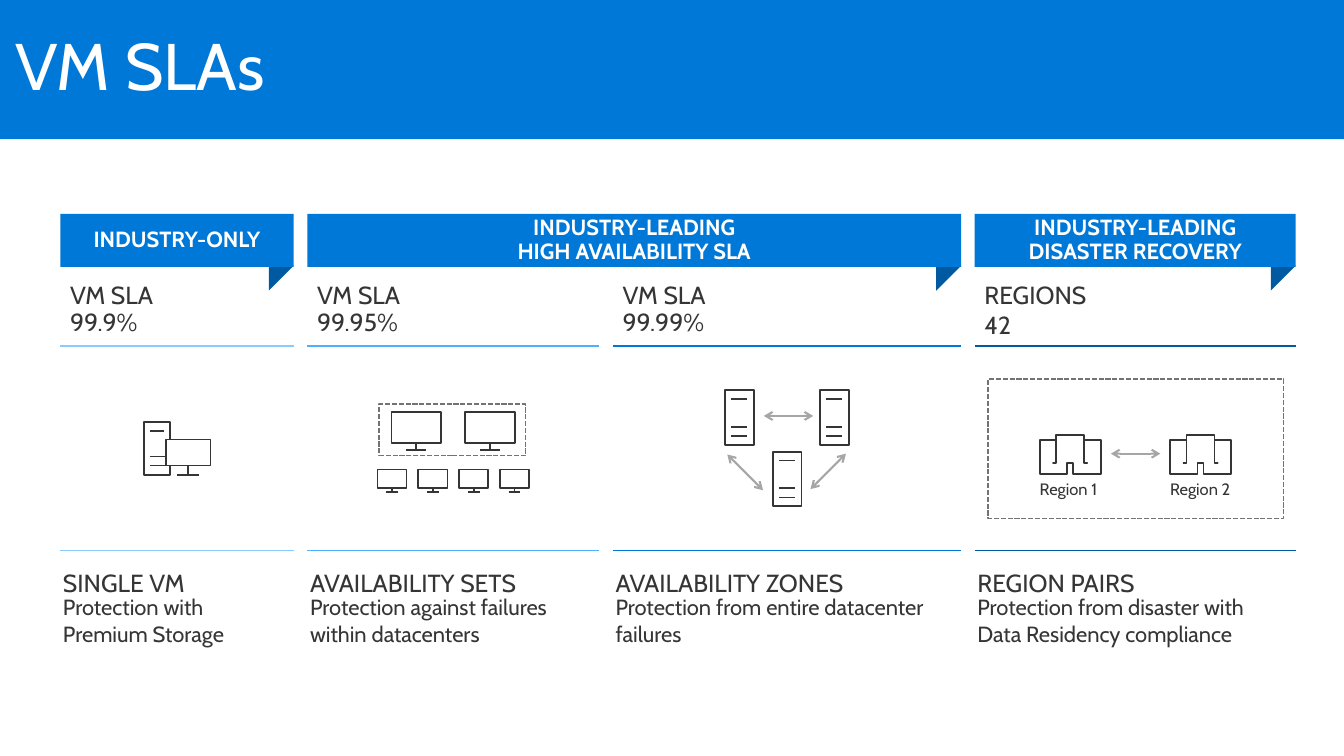
from lxml import etree
from pptx import Presentation
from pptx.dml.color import RGBColor
from pptx.enum.dml import MSO_LINE
from pptx.enum.shapes import MSO_CONNECTOR, MSO_SHAPE
from pptx.enum.text import MSO_ANCHOR, PP_ALIGN
from pptx.oxml.ns import qn
from pptx.util import Cm, Pt

FONT = "Cabin"
BLUE, NAVY, INK, WHITE, DASH, ARROW = "0078D7", "005AA1", "353535", "FFFFFF", "737373", "A6A6A6"
WIDTH, HEIGHT, LEFT, GAP = 34.54, 19.43, 1.55, 0.35
RULE_TOPS = (8.89, 14.15)
BANNER_TOP, BANNER_HEIGHT, FOLD = 5.5, 1.36, 0.64

COLUMNS = [
    dict(width=6, color="89CBFF", label="VM SLA", value="99.9%", value_top=7.75,
         title="SINGLE VM", note="Protection with Premium Storage"),
    dict(width=7.5, color="4EB1FF", label="VM SLA", value="99.95%", value_top=7.75,
         title="AVAILABILITY SETS", note="Protection against failures within datacenters"),
    dict(width=8.95, color=BLUE, label="VM SLA", value="99.99%", value_top=7.75,
         title="AVAILABILITY ZONES", note="Protection from entire datacenter failures"),
    dict(width=8.25, color=NAVY, label="REGIONS", value="42", value_top=7.83,
         title="REGION PAIRS", note="Protection from disaster with\vData Residency compliance"),
]
BANNERS = [
    (0, 0, "INDUSTRY-ONLY"),
    (1, 2, "INDUSTRY-LEADING\vHIGH AVAILABILITY SLA"),
    (3, 3, "INDUSTRY-LEADING\vDISASTER RECOVERY"),
]

MONITOR = [
    [(0, 0), (1, 0), (1, 0.82), (0, 0.82), (0, 0)],
    [(0.5, 0.82), (0.5, 1)],
    [(0.3, 1), (0.7, 1)],
]
SERVER = [[(0, 0), (1, 0), (1, 1), (0, 1), (0, 0)]] + [
    [(0.21, y), (0.77, y)] for y in (0.16, 0.67, 0.84)
]
COMPUTER = [
    [(0.33, 0.33), (1, 0.33), (1, 0.82), (0.33, 0.82), (0.33, 0.33)],
    [(0.66, 0.82), (0.66, 1)],
    [(0.49, 1), (0.82, 1)],
    [(0.09, 0.17), (0.3, 0.17)],
    [(0.09, 0.65), (0.33, 0.65)],
    [(0.09, 0.82), (0.33, 0.82)],
    [(0.39, 0.33), (0.39, 0), (0, 0), (0, 1), (0.39, 1), (0.39, 0.82)],
]
HALF_BUILDING = [(0.45, 0.72), (0.45, 1), (0, 1), (0, 0.13), (0.27, 0.13),
                 (0.27, 0.72), (0.22, 0.72), (0.27, 0.72), (0.27, 0)]
BUILDING = [HALF_BUILDING + [(1 - x, y) for x, y in reversed(HALF_BUILDING)] + HALF_BUILDING[:1]]

ICONS = [(COMPUTER, 3.71, 10.85, 1.7, 1.36)]
ICONS += [(MONITOR, 10.06 + 1.9 * i, 10.59, 1.27, 0.97) for i in range(2)]
ICONS += [(MONITOR, 9.7 + 1.05 * i, 12.07, 0.75, 0.58) for i in range(4)]
ICONS += [(SERVER, x, y, 0.74, 1.4) for x, y in ((18.64, 10.03), (21.08, 10.03), (19.86, 11.61))]
ICONS += [(BUILDING, x, 11.18, 1.57, 1) for x in (26.72, 30.07)]
FRAMES = [(9.75, 10.39, 3.76, 1.32), (25.4, 9.75, 7.59, 3.58)]
ARROWS = [
    (19.63, 10.69, 20.9, 10.69),
    (18.69, 11.68, 19.61, 12.6),
    (21.74, 11.66, 20.83, 12.57),
    (28.55, 11.66, 29.82, 11.66),
]
REGIONS = [("Region 1", 26.47), ("Region 2", 29.82)]


def rgb(color):
    return RGBColor.from_string(color)


def style(sp, fill=None, line=None, dash=None):
    sp.shadow.inherit = False
    if fill:
        sp.fill.solid()
        sp.fill.fore_color.rgb = rgb(fill)
    else:
        sp.fill.background()
    if line:
        sp.line.color.rgb = rgb(line)
        sp.line.width = Pt(1.25)
        sp.line.dash_style = dash
    else:
        sp.line.fill.background()


def add_box(s, kind, x, y, w, h, **look):
    sp = s.shapes.add_shape(kind, Cm(x), Cm(y), Cm(w), Cm(h))
    style(sp, **look)
    return sp


def write(sp, text, size, color=INK, bold=False, align=PP_ALIGN.LEFT,
          anchor=MSO_ANCHOR.TOP, spacing=1.0):
    tf = sp.text_frame
    tf.word_wrap = True
    tf.vertical_anchor = anchor
    p = tf.paragraphs[0]
    p.text = text
    p.alignment = align
    p.line_spacing = spacing
    for r in p.runs:
        r.font.name = FONT
        r.font.size = Pt(size)
        r.font.bold = bold
        r.font.color.rgb = rgb(color)
    return tf


def add_text(s, text, x, y, w, h, size):
    write(s.shapes.add_textbox(Cm(x), Cm(y), Cm(w), Cm(h)), text, size)


def add_line(s, x1, y1, x2, y2, color, width, arrows=False):
    line = s.shapes.add_connector(MSO_CONNECTOR.STRAIGHT, Cm(x1), Cm(y1), Cm(x2), Cm(y2))
    line.line.color.rgb = rgb(color)
    line.line.width = Pt(width)
    if arrows:
        ln = line.line._get_or_add_ln()
        for end in ("a:headEnd", "a:tailEnd"):
            etree.SubElement(ln, qn(end), type="arrow")
    etree.SubElement(line._element.spPr, qn("a:effectLst"))


def add_icon(s, paths, x, y, w, h):
    strokes = [[(Cm(x + u * w), Cm(y + v * h)) for u, v in path] for path in paths]
    outline = s.shapes.build_freeform(*strokes[0][0])
    for i, stroke in enumerate(strokes):
        if i:
            outline.move_to(*stroke[0])
        outline.add_line_segments(stroke[1:], close=False)
    style(outline.convert_to_shape(), line=INK)


def main():
    """Build the slide on virtual machine service levels."""
    prs = Presentation()
    prs.slide_width, prs.slide_height = Cm(WIDTH), Cm(HEIGHT)
    s = prs.slides.add_slide(prs.slide_layouts[6])

    header = add_box(s, MSO_SHAPE.RECTANGLE, 0, 0, WIDTH, 3.58, fill=BLUE)
    tf = write(header, "VM SLAs", 48, WHITE, anchor=MSO_ANCHOR.MIDDLE, spacing=0.9)
    tf.margin_left = tf.margin_right = Cm(0.41)

    lefts = [LEFT + sum(c["width"] + GAP for c in COLUMNS[:i]) for i in range(len(COLUMNS))]
    rights = [x + c["width"] for x, c in zip(lefts, COLUMNS)]
    for x, right, c in zip(lefts, rights, COLUMNS):
        for y in RULE_TOPS:
            add_line(s, x, y, right, y, c["color"], 1.25)
        w = c["width"]
        add_text(s, c["label"], x, 7.06, w, 1.04, 18)
        add_text(s, c["value"], x, c["value_top"], w, 1.04, 18)
        add_text(s, c["title"], x - 0.18, 14.48, w, 1.04, 18)
        add_text(s, c["note"], x - 0.18, 15.14, w, 1.65, 16)

    for first, last, text in BANNERS:
        x, right = lefts[first], rights[last]
        fold = add_box(s, MSO_SHAPE.RIGHT_TRIANGLE, right - FOLD, BANNER_TOP + BANNER_HEIGHT - 0.03,
                       FOLD, FOLD, fill=NAVY)
        fold.rotation = 90
        banner = add_box(s, MSO_SHAPE.RECTANGLE, x, BANNER_TOP, right - x, BANNER_HEIGHT, fill=BLUE)
        tf = write(banner, text, 16, WHITE, True, PP_ALIGN.CENTER, MSO_ANCHOR.MIDDLE, 0.9)
        tf.margin_top = tf.margin_bottom = 0

    for icon in ICONS:
        add_icon(s, *icon)
    for frame in FRAMES:
        add_box(s, MSO_SHAPE.RECTANGLE, *frame, line=DASH, dash=MSO_LINE.SQUARE_DOT)
    for arrow in ARROWS:
        add_line(s, *arrow, ARROW, 1.5, arrows=True)
    for text, x in REGIONS:
        add_text(s, text, x, 12.19, 2.2, 0.79, 12)

    prs.save("out.pptx")


if __name__ == "__main__":
    main()
